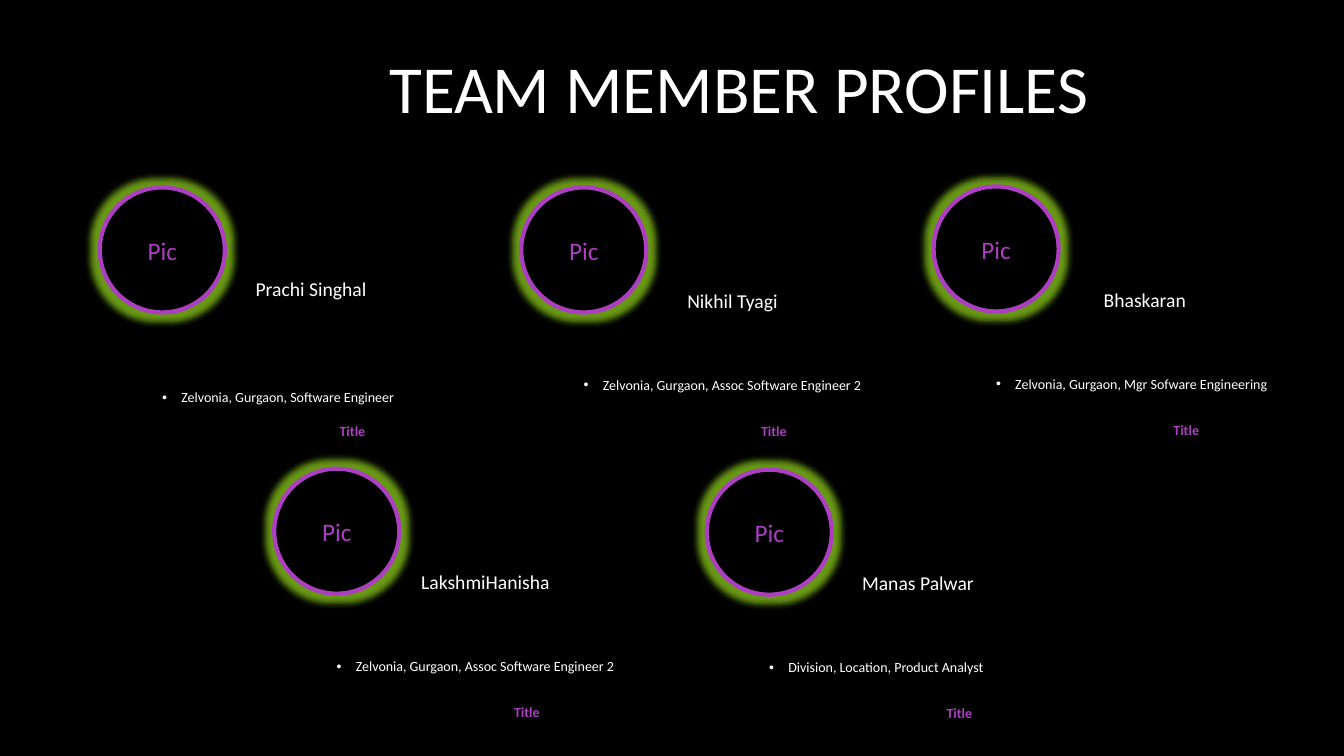
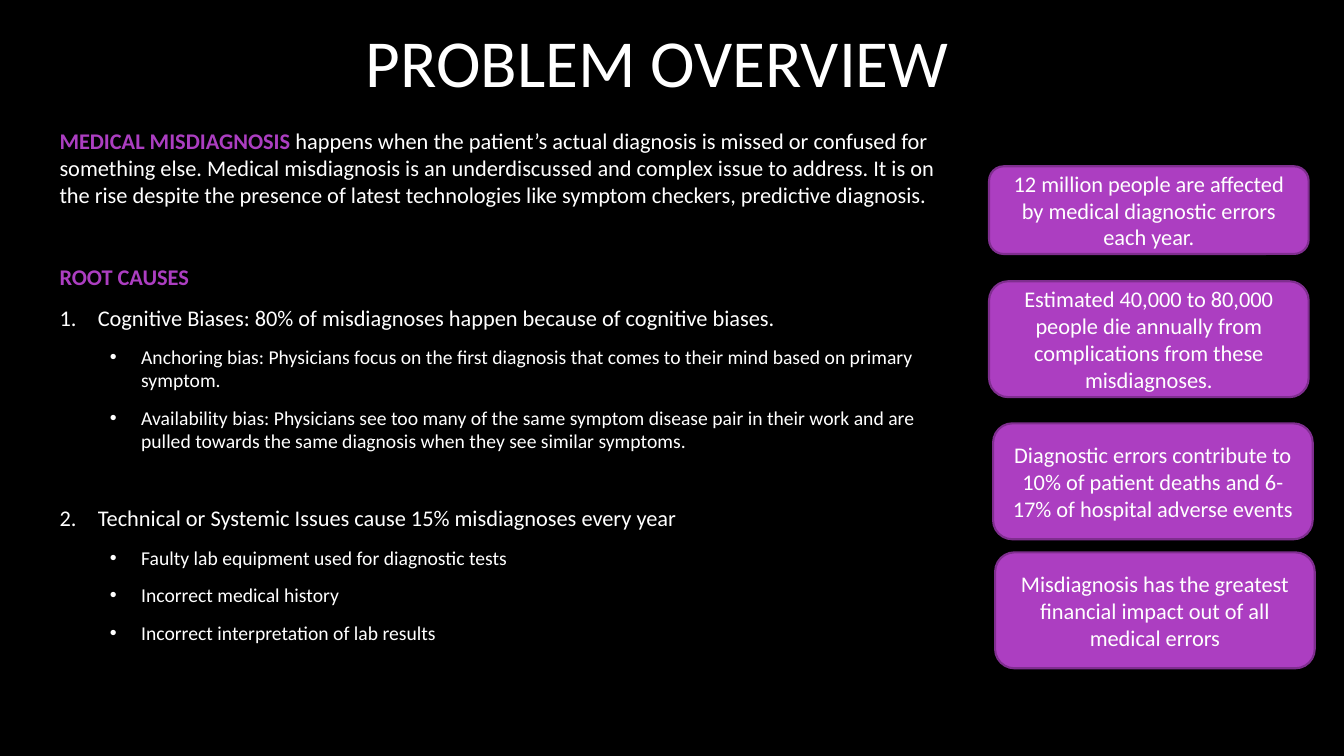
from dataclasses import dataclass

from lxml import etree
from pptx import Presentation
from pptx.dml.color import RGBColor
from pptx.enum import shapes, text
from pptx.oxml.ns import qn
from pptx.util import Inches, Pt

BLACK = RGBColor(0x00, 0x00, 0x00)
WHITE = RGBColor(0xFF, 0xFF, 0xFF)
PURPLE = RGBColor(0xAC, 0x3E, 0xC1)
DARK_PURPLE = RGBColor(0x7F, 0x2E, 0x8F)
GREEN = RGBColor(0x69, 0x99, 0x16)
FONT = "Calibri"
CENTER, LEFT = text.PP_ALIGN.CENTER, text.PP_ALIGN.LEFT
MIDDLE, TOP, BOTTOM = (text.MSO_ANCHOR.MIDDLE, text.MSO_ANCHOR.TOP,
                       text.MSO_ANCHOR.BOTTOM)
SHAPE = shapes.MSO_SHAPE


@dataclass
class Profile:
    left: float
    top: float
    name: str
    role: str
    gap: float = 46


@dataclass
class Fact:
    left: float
    top: float
    height: float
    words: str


@dataclass
class Point:
    """A body paragraph: a purple lead, a numbered cause or a bulleted detail."""
    words: str
    lead: str = ""
    number: int = 0
    detail: bool = False
    after: float = 10


PROFILES = [
    Profile(0.99, 1.86, "Prachi Singhal", "Zelvonia, Gurgaon, Software Engineer", 63.5),
    Profile(5.17, 1.86, "Nikhil Tyagi", "Zelvonia, Gurgaon, Assoc Software Engineer 2"),
    Profile(9.26, 1.85, "Bhaskaran", "Zelvonia, Gurgaon, Mgr Sofware Engineering"),
    Profile(2.72, 4.65, "LakshmiHanisha", "Zelvonia, Gurgaon, Assoc Software Engineer 2"),
    Profile(7.01, 4.66, "Manas Palwar", "Division, Location, Product Analyst"),
]

POINTS = [
    Point(" happens when the patient’s actual diagnosis is missed or confused for "
          "something else. Medical misdiagnosis is an underdiscussed and complex issue "
          "to address. It is on the rise despite the presence of latest technologies "
          "like symptom checkers, predictive diagnosis.",
          lead="MEDICAL MISDIAGNOSIS", after=39.5),
    Point("", lead="ROOT CAUSES"),
    Point("Cognitive Biases: 80% of misdiagnoses happen because of cognitive biases.",
          number=1),
    Point("Anchoring bias: Physicians focus on the first diagnosis that comes to their "
          "mind based on primary symptom.", detail=True),
    Point("Availability bias: Physicians see too many of the same symptom disease pair "
          "in their work and are pulled towards the same diagnosis when they see "
          "similar symptoms.", detail=True, after=37),
    Point("Technical or Systemic Issues cause 15% misdiagnoses every year", number=2),
    Point("Faulty lab equipment used for diagnostic tests", detail=True),
    Point("Incorrect medical history", detail=True),
    Point("Incorrect interpretation of lab results", detail=True),
]

FACTS = [
    Fact(9.81, 1.65, 0.87,
         "12 million people are affected by medical diagnostic errors each year."),
    Fact(9.81, 2.79, 1.15,
         "Estimated 40,000 to 80,000 people die annually from complications from "
         "these misdiagnoses."),
    Fact(9.85, 4.2, 1.15,
         "Diagnostic errors contribute to 10% of patient deaths and 6-17% of hospital "
         "adverse events"),
    Fact(9.87, 5.48, 1.15,
         "Misdiagnosis has the greatest financial impact out of all medical errors"),
]


def assign(obj, **values) -> None:
    for name, value in values.items():
        setattr(obj, name, value)


def place(sp, left: float, top: float, width: float, height: float) -> None:
    assign(sp, left=Inches(left), top=Inches(top),
           width=Inches(width), height=Inches(height))


def add_run(p, words: str, size: float, color: RGBColor = WHITE,
            bold: bool = False) -> None:
    r = p.add_run()
    r.text = words
    assign(r.font, name=FONT, size=Pt(size), bold=bold)
    r.font.color.rgb = color


def set_marker(p, margin: float = 0, hanging: float = 0, char: str = "",
               number: int = 0) -> None:
    """Give a paragraph a bullet, a number or, by default, no marker."""
    pPr = p._p.get_or_add_pPr()
    pPr.set("marL", str(Inches(margin)))
    pPr.set("indent", str(-Inches(hanging)))
    if not (char or number):
        etree.SubElement(pPr, qn("a:buNone"))
        return
    color = etree.SubElement(pPr, qn("a:buClr"))
    etree.SubElement(color, qn("a:srgbClr"), val=str(WHITE))
    if number:
        etree.SubElement(pPr, qn("a:buFont"), typeface="+mj-lt")
        etree.SubElement(pPr, qn("a:buAutoNum"), type="arabicPeriod",
                         startAt=str(number))
    else:
        etree.SubElement(pPr, qn("a:buFont"), typeface="Arial")
        etree.SubElement(pPr, qn("a:buChar"), char=char)


def add_box(parent, kind, at: tuple, fill: RGBColor, line: RGBColor | None = None,
            line_width: float = 0):
    sp = parent.shapes.add_shape(kind, *map(Inches, at))
    sp.fill.solid()
    sp.fill.fore_color.rgb = fill
    if line is None:
        sp.line.fill.background()
    else:
        sp.line.color.rgb = line
        sp.line.width = Pt(line_width)
    sp.shadow.inherit = False
    assign(sp.text_frame, word_wrap=True, vertical_anchor=MIDDLE)
    return sp


def add_centered(sp, words: str, size: float, color: RGBColor = WHITE,
                 bold: bool = False) -> None:
    p = sp.text_frame.paragraphs[0]
    p.alignment = CENTER
    add_run(p, words, size, color, bold)


def add_glow(sp, color: RGBColor, radius: float) -> None:
    effects = sp._element.spPr.find(qn("a:effectLst"))
    glow = etree.SubElement(effects, qn("a:glow"), rad=str(Pt(radius)))
    etree.SubElement(glow, qn("a:srgbClr"), val=str(color))


def set_alpha(sp, percent: int) -> None:
    color = sp._element.spPr.find(qn("a:solidFill")).find(qn("a:srgbClr"))
    etree.SubElement(color, qn("a:alpha"), val=str(percent * 1000))


def add_slide(prs, layout: int, title: str, left: float, top: float):
    s = prs.slides.add_slide(prs.slide_layouts[layout])
    sp = s.shapes.title
    place(sp, left, top, 9.34, 1.14)
    assign(sp.text_frame, word_wrap=True, vertical_anchor=BOTTOM,
           auto_size=text.MSO_AUTO_SIZE.NONE)
    add_centered(sp, title, 48)
    return s


def add_profile(s, profile: Profile) -> None:
    grp = s.shapes.add_group_shape()
    x, y = profile.left, profile.top
    card = add_box(grp, SHAPE.ROUNDED_RECTANGLE, (x + 0.42, y + 0.49, 3.35, 2.07), BLACK)
    set_alpha(card, 50)
    add_centered(card, profile.name, 14)
    p = card.text_frame.add_paragraph()
    assign(p, alignment=LEFT, space_before=Pt(profile.gap))
    set_marker(p, 0.19, 0.19, char="•")
    add_run(p, profile.role, 10)

    portrait = add_box(grp, SHAPE.OVAL, (x, y, 1.24, 1.24), BLACK, PURPLE, 3)
    add_glow(portrait, GREEN, 10)
    add_centered(portrait, "Pic", 18, PURPLE)

    label = grp.shapes.add_textbox(*map(Inches, (x + 1.41, y + 2.33, 2.19, 0.24)))
    assign(label.text_frame, word_wrap=True, vertical_anchor=TOP, margin_left=0,
           margin_right=0, margin_top=0, margin_bottom=0)
    add_centered(label, "Title", 10, PURPLE, bold=True)


def fill_body(sp, points: list[Point]) -> None:
    tf = sp.text_frame
    assign(tf, word_wrap=True, vertical_anchor=TOP, auto_size=text.MSO_AUTO_SIZE.NONE)
    for i, point in enumerate(points):
        p = tf.add_paragraph() if i else tf.paragraphs[0]
        assign(p, level=int(point.detail), alignment=LEFT, line_spacing=1.0,
               space_before=Pt(0), space_after=Pt(point.after))
        if point.detail:
            set_marker(p, 0.81, 0.31, char="•")
        elif point.number:
            set_marker(p, 0.38, 0.38, number=point.number)
        else:
            set_marker(p)
        if point.lead:
            add_run(p, point.lead, 16, PURPLE, bold=True)
        if point.words:
            add_run(p, point.words, 14 if point.detail else 16)


def add_fact(s, fact: Fact) -> None:
    sp = add_box(s, SHAPE.ROUNDED_RECTANGLE, (fact.left, fact.top, 3.17, fact.height),
                 PURPLE, DARK_PURPLE, 1.5)
    add_centered(sp, fact.words, 16)


def main() -> None:
    prs = Presentation()
    assign(prs, slide_width=Inches(13.33), slide_height=Inches(7.5))
    background = prs.slide_master.background.fill
    background.solid()
    background.fore_color.rgb = BLACK

    s = add_slide(prs, 5, "TEAM MEMBER PROFILES", 2.66, 0.17)
    for profile in PROFILES:
        add_profile(s, profile)

    s = add_slide(prs, 1, "PROBLEM OVERVIEW", 1.85, -0.09)
    body = s.placeholders[1]
    place(body, 0.49, 1.21, 9.09, 5.72)
    fill_body(body, POINTS)
    for fact in FACTS:
        add_fact(s, fact)

    prs.save("out.pptx")


if __name__ == "__main__":
    main()
